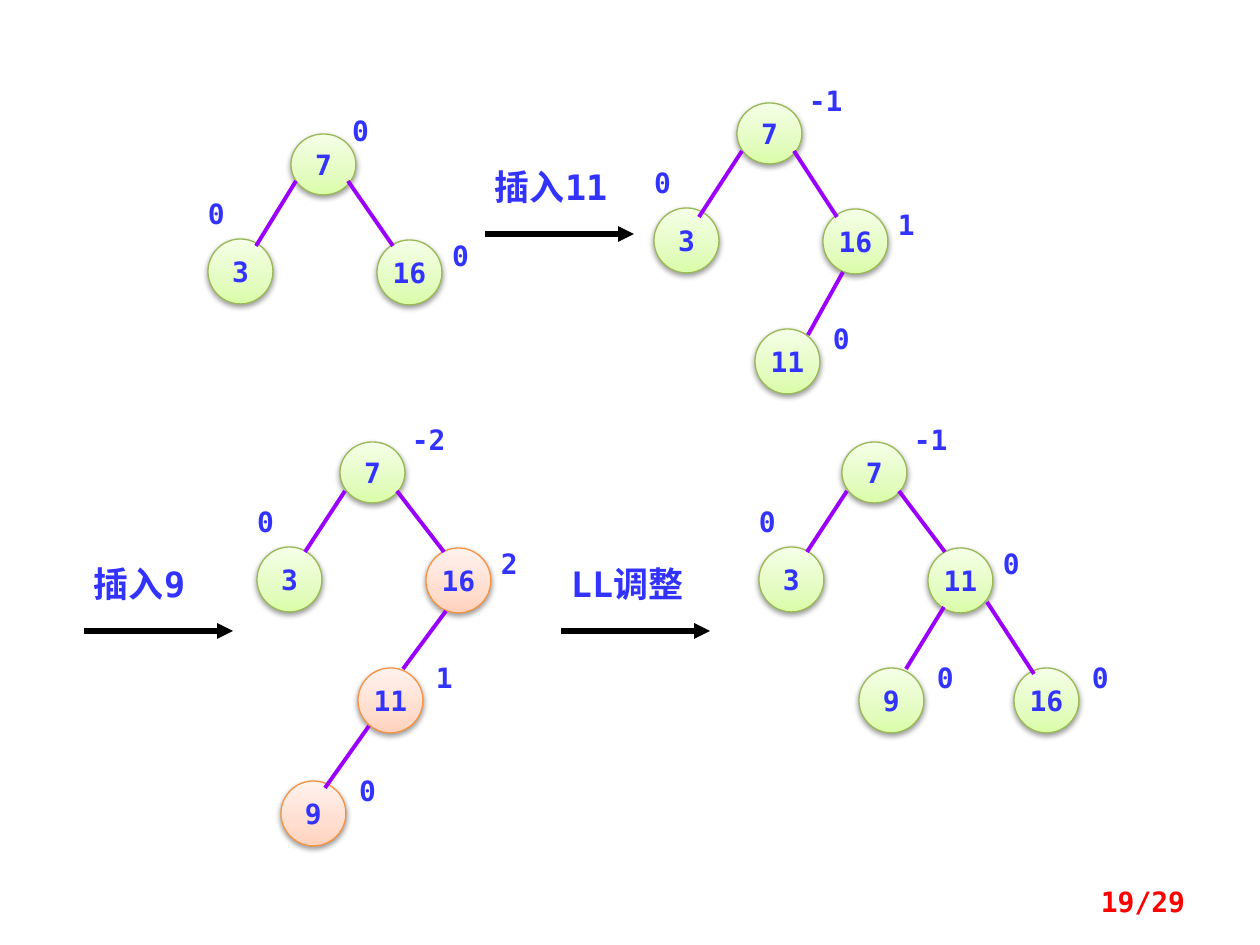
"""Build the slide on inserting 11 and 9 into an AVL tree with an LL rotation."""
from copy import deepcopy

from lxml import etree
from pptx import Presentation
from pptx import util as u
from pptx.dml.color import RGBColor
from pptx.enum import shapes as kinds, text
from pptx.oxml.ns import qn

PX = 7257
FONT = "DejaVu Sans Mono"
COLOURS = {"text": "3333FF", "edge": "9900FF", "arrow": "000000", "page": "FF0000", "shadow": "000000"}
NODE_STYLES = {
    "balanced": {"line": "98B955", "stops": ["DAFDA7", "E4FCC2", "F5FFE7"]},
    "unbalanced": {"line": "F69240", "stops": ["FFD2BD", "FFDED0", "FFF2ED"]},
}
STOP_POSITIONS = [0, 0.35, 1]


def write(holder, words, size=16, colour="text", align=text.PP_ALIGN.LEFT, inset=0):
    frame = holder.text_frame
    frame.word_wrap = True
    frame.margin_left = frame.margin_right = frame.margin_top = frame.margin_bottom = inset * PX
    frame.text = words
    paragraph = frame.paragraphs[0]
    paragraph.alignment = align
    font = paragraph.runs[0].font
    font.name, font.size, font.bold = FONT, u.Pt(size), True
    font.color.rgb = RGBColor.from_string(COLOURS[colour])


def connect(canvas, ends, colour, width):
    link = canvas.add_connector(kinds.MSO_CONNECTOR.STRAIGHT, *[v * PX for v in ends])
    link.line.color.rgb = RGBColor.from_string(COLOURS[colour])
    link.line.width = u.Pt(width)
    etree.SubElement(link.element.spPr, qn("a:effectLst"))
    return link


deck = Presentation()
deck.slide_width, deck.slide_height = u.Inches(10), u.Inches(7.5)
slide = deck.slides.add_slide(deck.slide_layouts[6])

LEFT_CHILD, RIGHT_CHILD = (-83, 105), (86, 106)
CHILD_BADGE, LEAF_BADGE = (75, -1), (78, -7)
stages = [
    {"root": (291, 134), "factors": ("0", "0", "0"), "right": "16", "root_badge": (61, -20),
     "edges": [(296, 181, 256, 246), (348, 181, 393, 246)]},
    {"root": (737, 103), "factors": ("-1", "0", "1"), "right": "16",
     "step": "插入11", "arrow": (485, 234),
     "leaves": [("11", "0", 755, 329)],
     "edges": [(742, 151, 699, 217), (794, 151, 837, 217), (843, 272, 808, 335)]},
    {"root": (340, 442), "factors": ("-2", "0", "2"), "right": "16",
     "step": "插入9", "arrow": (84, 631), "style": "unbalanced",
     "leaves": [("11", "1", 358, 668), ("9", "0", 281, 781)],
     "edges": [(345, 491, 305, 552), (397, 491, 444, 552), (446, 611, 403, 669), (369, 726, 325, 788)]},
    {"root": (842, 442), "factors": ("-1", "0", "0"), "right": "11",
     "step": "LL调整", "arrow": (561, 631),
     "leaves": [("9", "0", 859, 668), ("16", "0", 1014, 668)],
     "edges": [(847, 491, 807, 552), (899, 491, 945, 552), (944, 607, 906, 669), (987, 602, 1034, 674)]},
]

for stage in stages:
    canvas = slide.shapes
    if "step" in stage:
        canvas = canvas.add_group_shape().shapes
        x, y = stage["arrow"]
        arrow = connect(canvas, (x, y, x + 149, y), "arrow", 3)
        etree.SubElement(arrow.line._get_or_add_ln(), qn("a:tailEnd"), type="triangle")
        step = canvas.add_textbox(*[v * PX for v in (x + 10, y - 69, 129, 42)])
        write(step, stage["step"], 20)

    x, y = stage["root"]
    root_factor, left_factor, right_factor = stage["factors"]
    style = stage.get("style", "balanced")
    nodes = [
        ("7", root_factor, x, y, 61, stage.get("root_badge", (72, -19)), "balanced"),
        ("3", left_factor, x + LEFT_CHILD[0], y + LEFT_CHILD[1], 65, (0, -42), "balanced"),
        (stage["right"], right_factor, x + RIGHT_CHILD[0], y + RIGHT_CHILD[1], 65, CHILD_BADGE, style),
    ]
    nodes += [(*leaf, 65, LEAF_BADGE, style) for leaf in stage.get("leaves", [])]

    for key, factor, left, top, height, badge_offset, look in nodes:
        node = canvas.add_shape(kinds.MSO_SHAPE.OVAL, *[v * PX for v in (left, top, 65, height)])
        node.fill.gradient()
        node.fill.gradient_angle = 90
        stop_list = node.element.spPr.find(".//" + qn("a:gsLst"))
        stop_list.insert(1, deepcopy(stop_list[0]))
        for stop, position, shade in zip(node.fill.gradient_stops, STOP_POSITIONS, NODE_STYLES[look]["stops"]):
            stop.position = position
            stop.color.rgb = RGBColor.from_string(shade)
        node.line.color.rgb = RGBColor.from_string(NODE_STYLES[look]["line"])
        node.line.width = u.Pt(0.75)
        node.shadow.inherit = False
        shadow = etree.SubElement(node.element.spPr.find(qn("a:effectLst")), qn("a:outerShdw"),
                                  blurRad="40000", dist="20000", dir="5400000", rotWithShape="0")
        tint = etree.SubElement(shadow, qn("a:srgbClr"), val=COLOURS["shadow"])
        etree.SubElement(tint, qn("a:alpha"), val="38000")
        write(node, key, align=text.PP_ALIGN.CENTER)
        node.text_frame.vertical_anchor = text.MSO_ANCHOR.MIDDLE

        badge_box = (left + badge_offset[0], top + badge_offset[1], 30 * len(factor), 42)
        write(canvas.add_textbox(*[v * PX for v in badge_box]), factor)

    for edge in stage["edges"]:
        connect(canvas, edge, "edge", 2.25)

page = slide.shapes.add_textbox(*[v * PX for v in (903, 876, 294, 50)])
write(page, "19/29", colour="page", align=text.PP_ALIGN.RIGHT, inset=12)
page.text_frame.vertical_anchor = text.MSO_ANCHOR.MIDDLE

deck.save("out.pptx")
